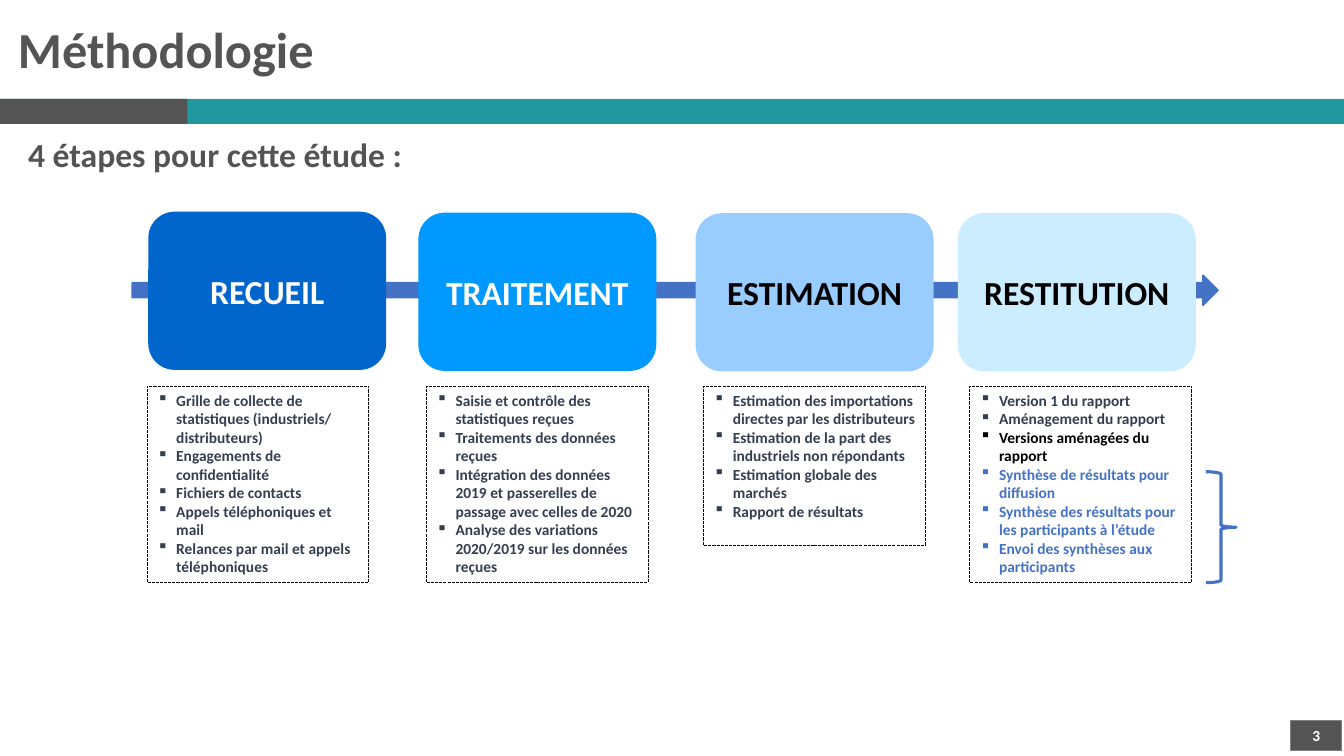
from dataclasses import dataclass

from lxml import etree
from pptx import Presentation
from pptx.dml.color import RGBColor
from pptx.enum.dml import MSO_LINE
from pptx.enum.shapes import MSO_SHAPE
from pptx.enum.text import MSO_ANCHOR, PP_ALIGN
from pptx.oxml.ns import qn
from pptx.util import Emu, Inches, Pt

RECTANGLE = MSO_SHAPE.RECTANGLE
ROUNDED = MSO_SHAPE.ROUNDED_RECTANGLE
RIGHT_ARROW = MSO_SHAPE.RIGHT_ARROW
RIGHT_BRACE = MSO_SHAPE.RIGHT_BRACE
TOP, MIDDLE = MSO_ANCHOR.TOP, MSO_ANCHOR.MIDDLE
LEFT, CENTER = PP_ALIGN.LEFT, PP_ALIGN.CENTER
DASHED = MSO_LINE.SQUARE_DOT

FONT = "Calibri"
SLIDE_WIDTH, SLIDE_HEIGHT = Inches(13.33), Inches(7.5)
BULLET_INDENT = Inches(0.19)

TEAL = RGBColor(0x21, 0x98, 0x9E)
DARK_GRAY = RGBColor(0x54, 0x54, 0x54)
MID_GRAY = RGBColor(0x80, 0x80, 0x80)
BLUE = RGBColor(0x44, 0x72, 0xC4)
SLATE = RGBColor(0x33, 0x3F, 0x50)
BLACK = RGBColor(0x00, 0x00, 0x00)
WHITE = RGBColor(0xFF, 0xFF, 0xFF)
STRONG_BLUE = RGBColor(0x00, 0x66, 0xCC)
BRIGHT_BLUE = RGBColor(0x00, 0x99, 0xFF)
LIGHT_BLUE = RGBColor(0x99, 0xCC, 0xFF)
PALE_BLUE = RGBColor(0xCC, 0xEC, 0xFF)


@dataclass(frozen=True)
class Area:
    """Position and size in percent of the slide's width and height."""
    left: float
    top: float
    width: float
    height: float

    def lengths(self) -> tuple[Emu, Emu, Emu, Emu]:
        return (
            Emu(round(SLIDE_WIDTH * self.left / 100)),
            Emu(round(SLIDE_HEIGHT * self.top / 100)),
            Emu(round(SLIDE_WIDTH * self.width / 100)),
            Emu(round(SLIDE_HEIGHT * self.height / 100)),
        )


@dataclass(frozen=True)
class Task:
    text: str
    color: RGBColor = SLATE


@dataclass(frozen=True)
class Step:
    name: str
    fill: RGBColor
    color: RGBColor
    card_left: float
    card_top: float
    list_left: float
    list_height: float
    tasks: tuple[Task, ...]


STEPS = (
    Step("RECUEIL", STRONG_BLUE, WHITE, 11.03, 28, 10.95, 26, (
        Task("Grille de collecte de statistiques (industriels/ distributeurs)"),
        Task("Engagements de confidentialité"),
        Task("Fichiers de contacts"),
        Task("Appels téléphoniques et mail"),
        Task("Relances par mail et appels téléphoniques"),
    )),
    Step("TRAITEMENT", BRIGHT_BLUE, WHITE, 31.13, 28.13, 31.73, 26, (
        Task("Saisie et contrôle des statistiques reçues"),
        Task("Traitements des données reçues"),
        Task("Intégration des données 2019 et passerelles de passage avec celles de 2020"),
        Task("Analyse des variations 2020/2019 sur les données reçues"),
    )),
    Step("ESTIMATION", LIGHT_BLUE, BLACK, 51.76, 28.2, 52.36, 21.07, (
        Task("Estimation des importations directes par les distributeurs"),
        Task("Estimation de la part des industriels non répondants"),
        Task("Estimation globale des marchés"),
        Task("Rapport de résultats"),
    )),
    Step("RESTITUTION", PALE_BLUE, BLACK, 71.27, 28.2, 72.17, 26, (
        Task("Version 1 du rapport"),
        Task("Aménagement du rapport"),
        Task("Versions aménagées du rapport", BLACK),
        Task("Synthèse de résultats pour diffusion", BLUE),
        Task("Synthèse des résultats pour les participants à l’étude", BLUE),
        Task("Envoi des synthèses aux participants", BLUE),
    )),
)


def add_figure(slide, kind, area: Area, fill: RGBColor | None = None,
               line: RGBColor | None = None, line_width: float = 1, dash=None):
    shape = slide.shapes.add_shape(kind, *area.lengths())
    shape.shadow.inherit = False
    if fill is None:
        shape.fill.background()
    else:
        shape.fill.solid()
        shape.fill.fore_color.rgb = fill
    if line is None:
        shape.line.fill.background()
    else:
        shape.line.color.rgb = line
        shape.line.width = Pt(line_width)
        if dash is not None:
            shape.line.dash_style = dash
    return shape


def write_text(paragraph, text: str, *, size: float, color: RGBColor,
               align=LEFT, spacing: float = 1, bullet: str | None = None) -> None:
    paragraph.alignment = align
    paragraph.line_spacing = spacing
    if bullet:
        properties = paragraph._p.get_or_add_pPr()
        properties.set("marL", str(BULLET_INDENT))
        properties.set("indent", str(-BULLET_INDENT))
        etree.SubElement(properties, qn("a:buChar")).set("char", bullet)
    run = paragraph.add_run()
    run.text = text
    run.font.name = FONT
    run.font.size = Pt(size)
    run.font.bold = True
    run.font.color.rgb = color


def prepare_frame(shape, anchor):
    frame = shape.text_frame
    frame.word_wrap = True
    frame.vertical_anchor = anchor
    return frame


def add_heading(slide, area: Area, text: str, size: float, anchor) -> None:
    frame = prepare_frame(slide.shapes.add_textbox(*area.lengths()), anchor)
    write_text(frame.paragraphs[0], text, size=size, color=DARK_GRAY, spacing=0.9)


def add_step(slide, step: Step) -> None:
    card = add_figure(slide, ROUNDED, Area(step.card_left, step.card_top, 17.7, 20.93),
                      fill=step.fill)
    write_text(prepare_frame(card, MIDDLE).paragraphs[0], step.name,
               size=24, color=step.color, align=CENTER)
    task_box = add_figure(slide, RECTANGLE, Area(step.list_left, 51.07, 16.5, step.list_height),
                          line=BLACK, line_width=0.75, dash=DASHED)
    frame = prepare_frame(task_box, TOP)
    for index, task in enumerate(step.tasks):
        paragraph = frame.add_paragraph() if index else frame.paragraphs[0]
        write_text(paragraph, task.text, size=11, color=task.color, bullet="▪")


def main() -> None:
    presentation = Presentation()
    presentation.slide_width = SLIDE_WIDTH
    presentation.slide_height = SLIDE_HEIGHT
    slide = presentation.slides.add_slide(presentation.slide_layouts[6])

    add_figure(slide, RECTANGLE, Area(0, 13.07, 100, 3.33), fill=TEAL)
    add_figure(slide, RECTANGLE, Area(0, 13.07, 13.95, 3.33), fill=DARK_GRAY)
    add_figure(slide, RIGHT_ARROW, Area(9.83, 36.4, 80.8, 4), fill=BLUE, line=BLUE)
    add_heading(slide, Area(0.6, 1.87, 97.2, 10.13), "Méthodologie", 36, MIDDLE)
    add_heading(slide, Area(1.35, 17.6, 97.2, 75.07), "4 étapes pour cette étude :", 24, TOP)

    page_box = add_figure(slide, RECTANGLE, Area(96.02, 95.33, 3.83, 4),
                          fill=DARK_GRAY, line=MID_GRAY, line_width=0.75)
    write_text(prepare_frame(page_box, MIDDLE).paragraphs[0], "3",
               size=11, color=WHITE, align=CENTER)

    for step in STEPS:
        add_step(slide, step)
    add_figure(slide, RIGHT_BRACE, Area(89.72, 62.4, 2.25, 14.67), line=BLUE, line_width=2.25)

    presentation.save("out.pptx")


if __name__ == "__main__":
    main()
